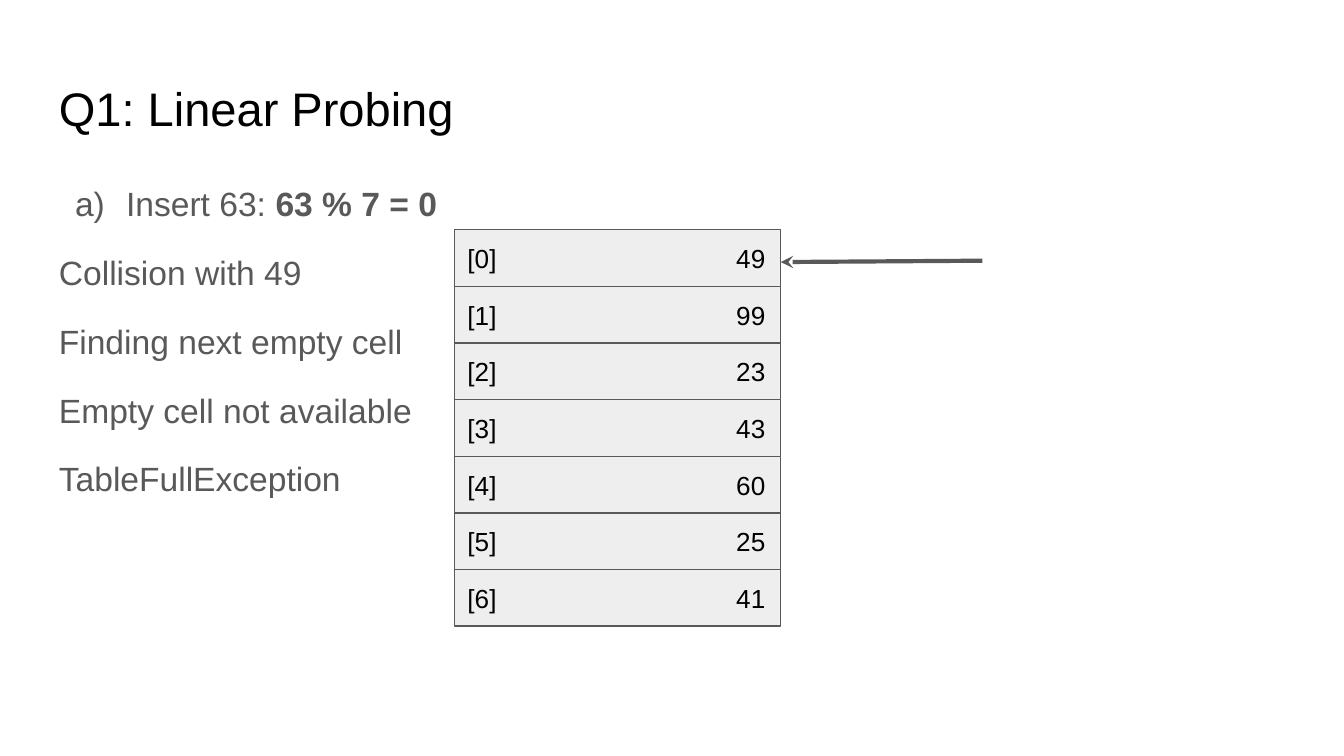
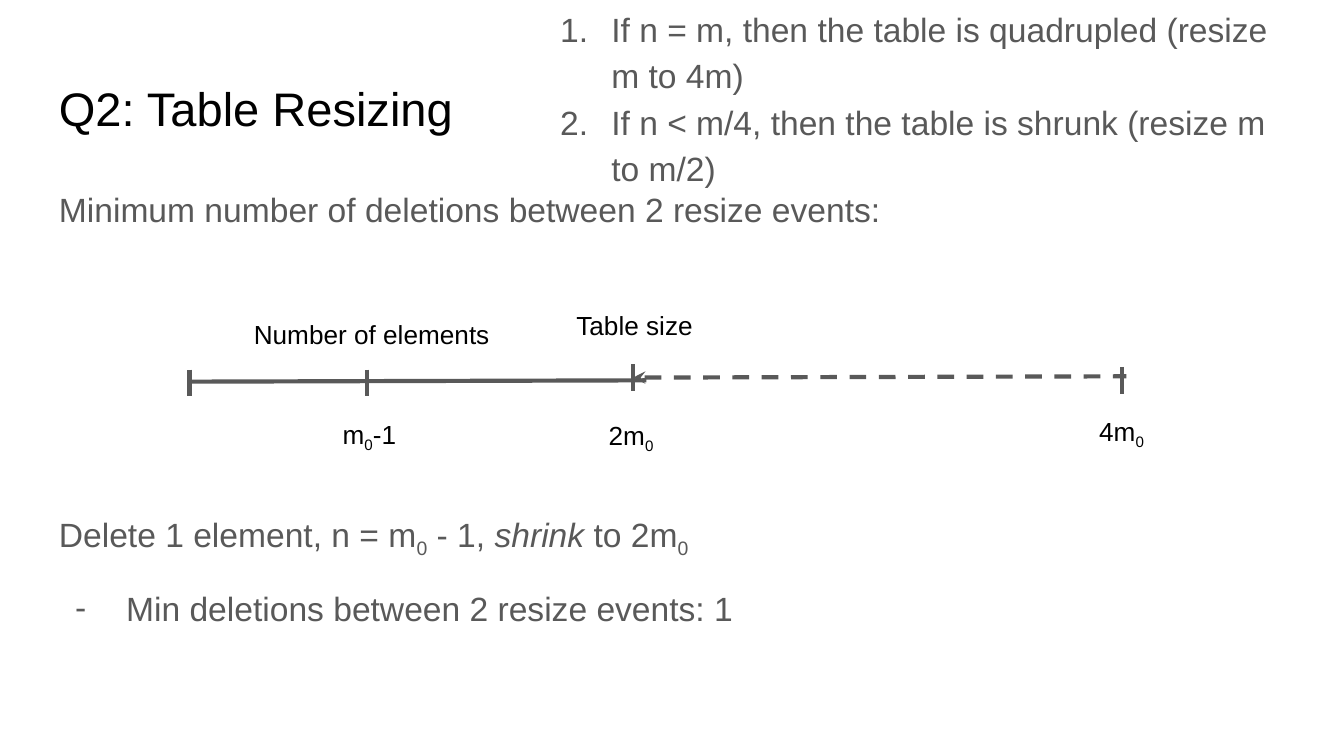
import dataclasses
import pptx
import pptx.util
import pptx.dml.color
import pptx.enum.dml
import pptx.enum.shapes
import pptx.enum.text
import pptx.oxml
import pptx.oxml.ns
from lxml import etree

Inches = pptx.util.Inches
Pt = pptx.util.Pt
qn = pptx.oxml.ns.qn


@dataclasses.dataclass(frozen=True)
class Theme:
    font: str = "Arial"
    ink: str = "000000"
    gray: str = "595959"
    cell: str = "EEEEEE"
    title: float = 25.2
    body: float = 18
    label: float = 14
    rule: float = 2.25
    edge: float = 0.75
    lead: float = 1.15
    gap: float = 12


THEME = Theme()

MARKS = {
    "a)": ("a:buAutoNum", {"type": "alphaLcParenR"}),
    "1.": ("a:buAutoNum", {"type": "arabicPeriod"}),
    "-": ("a:buChar", {"char": "-"}),
}

PROBE = {
    "title": "Q1: Linear Probing",
    "steps": [
        ("a)", 0, [("Insert 63: ", ""), ("63 % 7 = 0", "bold")]),
        ("", THEME.gap, [("Collision with 49", "")]),
        ("", THEME.gap, [("Finding next empty cell", "")]),
        ("", THEME.gap, [("Empty cell not available", "")]),
        ("", THEME.gap, [("TableFullException", "")]),
    ],
    "cells": [49, 99, 23, 43, 60, 25, 41],
}

RESIZE = {
    "title": "Q2: Table Resizing",
    "bodies": [
        ((0.34, 1.26, 9.32, 0.82), [
            ("", 0, [("Minimum number of deletions between 2 resize events:", "")]),
        ]),
        ((0.34, 3.67, 9.32, 1.33), [
            ("", 0, [("Delete 1 element, n = m", ""), ("0", "sub"), (" - 1, ", ""),
                     ("shrink ", "italic"), ("to 2m", ""), ("0", "sub")]),
            ("-", THEME.gap, [("Min deletions between 2 resize events: 1", "")]),
        ]),
        ((3.95, -0.08, 5.71, 1.55), [
            ("1.", 0, [("If n = m, then the table is quadrupled (resize m to 4m)", "")]),
            ("1.", 0, [("If n < m/4, then the table is shrunk (resize m to m/2)", "")]),
        ]),
    ],
    "labels": [
        (4.43, 3.02, 0.55, [("2m", ""), ("0", "sub")]),
        (8.08, 2.99, 0.55, [("4m", ""), ("0", "sub")]),
        (2.45, 3.01, 0.71, [("m", ""), ("0", "sub"), ("-1", "")]),
        (4.19, 2.2, 2.8, [("Table size", "")]),
        (1.79, 2.27, 2.04, [("Number of elements", "")]),
    ],
    "ticks": [(1.41, 2.75), (2.73, 2.75), (4.71, 2.71), (8.35, 2.73)],
}


def paint(code):
    return pptx.dml.color.RGBColor.from_string(code)


def style(font, size, code):
    font.name = THEME.font
    font.size = Pt(size)
    font.color.rgb = paint(code)


def fill_runs(para, runs):
    for text, kind in runs:
        run = para.add_run()
        run.text = text
        if kind == "bold":
            run.font.bold = True
        elif kind == "italic":
            run.font.italic = True
        elif kind == "sub":
            run._r.get_or_add_rPr().set("baseline", "-25000")


def add_mark(para, mark):
    props = para._p.get_or_add_pPr()
    props.set("marL", str(Inches(0.5)))
    props.set("indent", str(-Inches(0.38)))
    tint = etree.SubElement(props, qn("a:buClr"))
    etree.SubElement(tint, qn("a:srgbClr"), val=THEME.gray)
    etree.SubElement(props, qn("a:buFont"), typeface=THEME.font)
    tag, attrs = MARKS[mark]
    etree.SubElement(props, qn(tag), attrs)


def add_tabs(para, stops):
    tabs = etree.SubElement(para._p.get_or_add_pPr(), qn("a:tabLst"))
    for stop in stops:
        etree.SubElement(tabs, qn("a:tab"), pos=str(Inches(stop)), algn="l")


def pad(frame):
    frame.word_wrap = True
    frame.margin_left = frame.margin_right = Inches(0.1)
    frame.margin_top = frame.margin_bottom = Inches(0.1)
    return frame


def add_text(slide, box, paras, size, code, lead=1):
    frame = pad(slide.shapes.add_textbox(*map(Inches, box)).text_frame)
    for i, (mark, before, runs) in enumerate(paras):
        para = frame.add_paragraph() if i else frame.paragraphs[0]
        if mark:
            add_mark(para, mark)
        para.line_spacing = lead
        if before:
            para.space_before = Pt(before)
        style(para.font, size, code)
        fill_runs(para, runs)


def add_body(slide, box, paras):
    add_text(slide, box, paras, THEME.body, THEME.gray, THEME.lead)


def add_line(slide, start, end, tip="", dash=False):
    line = slide.shapes.add_connector(
        pptx.enum.shapes.MSO_CONNECTOR.STRAIGHT, *map(Inches, start + end))
    line.line.color.rgb = paint(THEME.gray)
    line.line.width = Pt(THEME.rule)
    if dash:
        line.line.dash_style = pptx.enum.dml.MSO_LINE.DASH
    props = line._element.spPr
    if tip:
        etree.SubElement(props.find(qn("a:ln")), qn(tip), type="stealth")
    etree.SubElement(props, qn("a:effectLst"))


def add_cell(slide, box, text):
    cell = slide.shapes.add_shape(
        pptx.enum.shapes.MSO_SHAPE.RECTANGLE, *map(Inches, box))
    cell.shadow.inherit = False
    cell.fill.solid()
    cell.fill.fore_color.rgb = paint(THEME.cell)
    cell.line.color.rgb = paint(THEME.gray)
    cell.line.width = Pt(THEME.edge)
    frame = pad(cell.text_frame)
    frame.vertical_anchor = pptx.enum.text.MSO_ANCHOR.MIDDLE
    para = frame.paragraphs[0]
    para.alignment = pptx.enum.text.PP_ALIGN.LEFT
    add_tabs(para, (1, 2))
    style(para.font, THEME.label, THEME.ink)
    fill_runs(para, [(text, "")])


def new_slide(deck, title):
    slide = deck.slides.add_slide(deck.slide_layouts[6])
    add_text(slide, (0.34, 0.49, 9.32, 0.63), [("", 0, [(title, "")])],
             THEME.title, THEME.ink)
    return slide


def draw_probe(deck):
    slide = new_slide(deck, PROBE["title"])
    add_body(slide, (0.34, 1.22, 3.04, 2.8), PROBE["steps"])
    cells = PROBE["cells"]
    left, top, width = 3.38, 1.71, 2.43
    high = 2.95 / len(cells)
    for i, value in enumerate(cells):
        add_cell(slide, (left, top + i * high, width, high), f"[{i}]\t\t{value}")
    add_line(slide, (7.31, 1.94), (left + width, 1.95), "a:tailEnd")


def draw_resize(deck):
    slide = new_slide(deck, RESIZE["title"])
    for box, paras in RESIZE["bodies"]:
        add_body(slide, box, paras)
    add_line(slide, (1.42, 2.84), (4.81, 2.83))
    add_line(slide, (4.71, 2.81), (8.38, 2.8), "a:headEnd", True)
    for x, y in RESIZE["ticks"]:
        add_line(slide, (x, y), (x, y + 0.2))
    for x, y, width, runs in RESIZE["labels"]:
        add_text(slide, (x, y, width, 0.44), [("", 0, runs)],
                 THEME.label, THEME.ink)


def main():
    deck = pptx.Presentation()
    deck.slide_width = Inches(10)
    deck.slide_height = Inches(10 * 9 / 16)
    draw_probe(deck)
    draw_resize(deck)
    deck.save("out.pptx")


if __name__ == "__main__":
    main()
